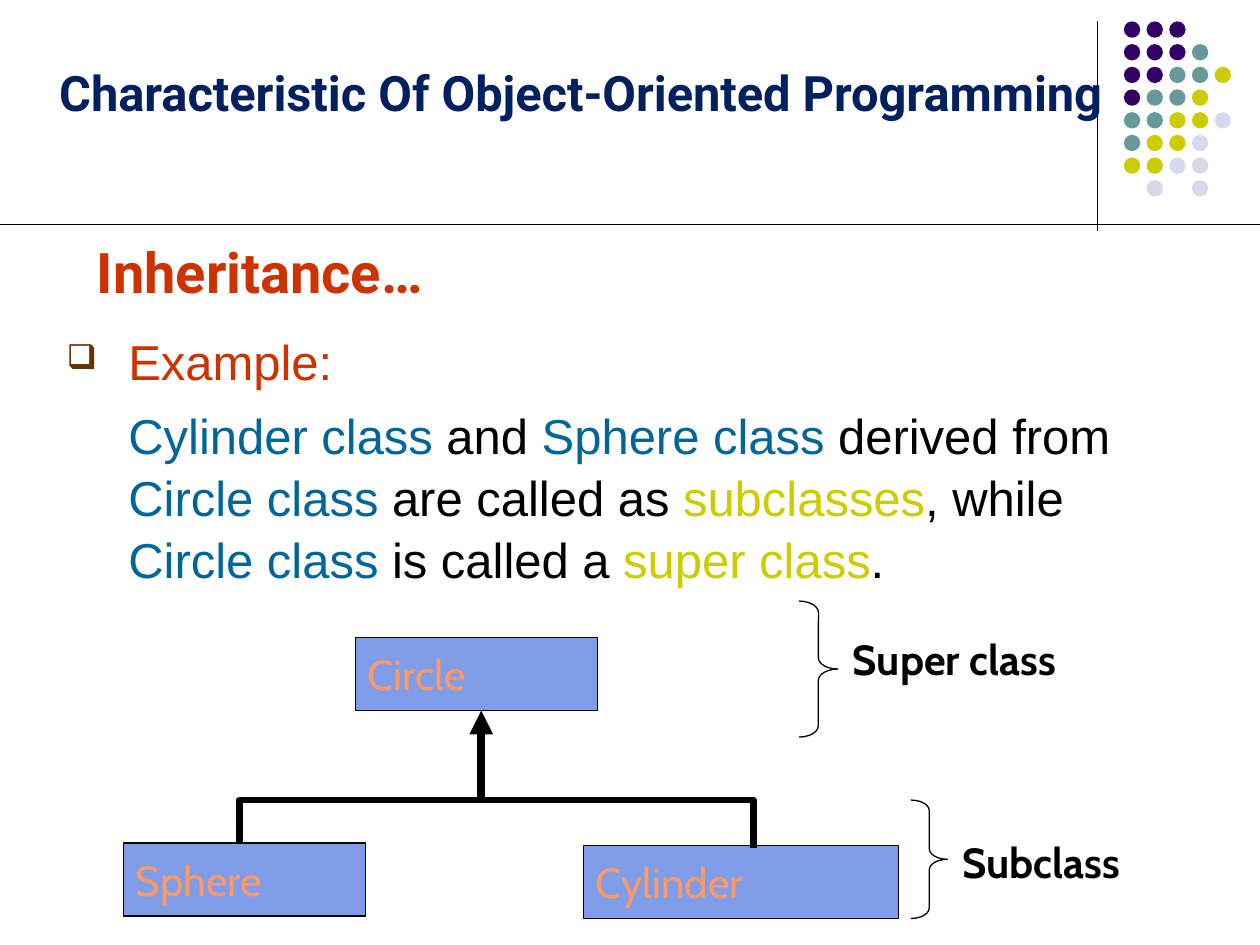
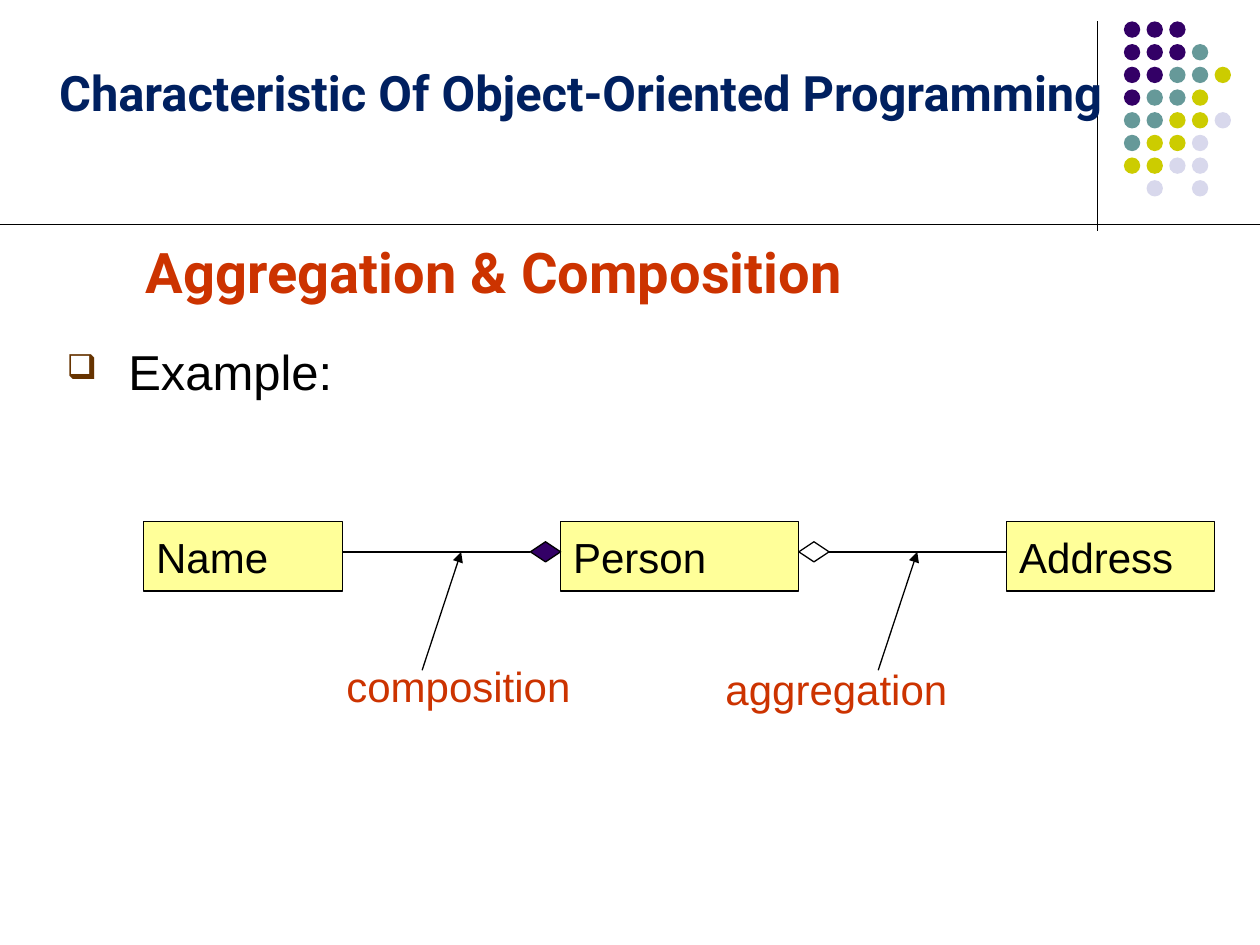
"""Build two slides on inheritance, aggregation and composition."""
import pptx
import pptx.util
import pptx.dml.color
import pptx.enum.shapes
import pptx.enum.text
import pptx.oxml
import pptx.oxml.ns

Inches = pptx.util.Inches
Pt = pptx.util.Pt
RGBColor = pptx.dml.color.RGBColor
MSO_SHAPE = pptx.enum.shapes.MSO_SHAPE
MSO_ANCHOR = pptx.enum.text.MSO_ANCHOR
PP_ALIGN = pptx.enum.text.PP_ALIGN

BLACK = RGBColor(0x00, 0x00, 0x00)
WHITE = RGBColor(0xFF, 0xFF, 0xFF)
NAVY = RGBColor(0x00, 0x20, 0x60)
RED = RGBColor(0xCC, 0x33, 0x00)
BLUE = RGBColor(0x00, 0x66, 0x99)
OLIVE = RGBColor(0xCC, 0xCC, 0x00)
PURPLE = RGBColor(0x33, 0x00, 0x66)
TEAL = RGBColor(0x66, 0x99, 0x99)
LAVENDER = RGBColor(0xD8, 0xD8, 0xEC)
PERIWINKLE = RGBColor(0x7E, 0x9C, 0xE8)
ORANGE = RGBColor(0xFF, 0x99, 0x66)
YELLOW = RGBColor(0xFF, 0xFF, 0x99)

HEADER = "Characteristic Of Object-Oriented Programming"
DOT_ROWS = ["PPP", "PPPT", "PPTTO", "PTTO", "TTOOL", "TOOL", "OOLL", " L L"]
DOT_COLORS = {"P": PURPLE, "T": TEAL, "O": OLIVE, "L": LAVENDER}
DOT_LEFT, DOT_TOP, DOT_PITCH, DOT_SIZE = 8.92, 0.17, 0.18, 0.13

INHERITANCE_TEXT = [
    ("Cylinder class", BLUE), (" and ", BLACK), ("Sphere class", BLUE),
    (" derived from ", BLACK), ("Circle class", BLUE),
    (" are called as ", BLACK), ("subclasses", OLIVE), (", while ", BLACK),
    ("Circle class", BLUE), (" is called a ", BLACK),
    ("super class", OLIVE), (".", BLACK),
]
CIRCLE = ("Circle", (2.82, 5.06, 1.92, 0.58))
CYLINDER = ("Cylinder", (4.63, 6.71, 2.5, 0.58))
SPHERE = ("Sphere", (0.98, 6.69, 1.92, 0.58))
SUBCLASS_BRACKET = [(1.9, 6.85), (1.9, 6.35), (5.98, 6.35), (5.98, 6.73)]
LEVELS = [
    ("Super class", (6.67, 4.98, 2.05, 0.5), (6.34, 4.77, 0.31, 1.08)),
    ("Subclass", (7.54, 6.59, 1.62, 0.5), (7.23, 6.35, 0.29, 0.94)),
]

CLASSES = [("Name", 1.14, 1.58), ("Person", 4.45, 1.89), ("Address", 7.99, 1.65)]
CLASS_TOP, CLASS_HEIGHT = 4.14, 0.55
LINK_Y, DIAMOND_W, DIAMOND_H = 4.38, 0.24, 0.16
LINKS = [
    ("composition", (2.65, 5.19, 1.98, 0.5), 3.35, (2.72, 4.21), 4.21, PURPLE),
    ("aggregation", (5.66, 5.22, 1.96, 0.5), 6.97, (6.58, 7.99), 6.34, WHITE),
]
POINTER_RUN, POINTER_Y = 0.31, 5.32


def inches(values):
    return [Inches(v) for v in values]


def write(tf, text, *, size, font="Arial", color=BLACK, bold=False, align=PP_ALIGN.LEFT,
          anchor=MSO_ANCHOR.TOP, wrap=True, spacing=None, before=0, indent=None,
          bullet=False, new=False):
    """Add one paragraph; text is a string or a list of (text, colour) runs."""
    tf.word_wrap = wrap
    tf.vertical_anchor = anchor
    p = tf.add_paragraph() if new else tf.paragraphs[0]
    p.alignment = align
    p.space_before = Pt(before)
    if spacing:
        p.line_spacing = spacing
    pPr = p._p.get_or_add_pPr()
    if indent:
        pPr.set("marL", str(Inches(indent)))
        pPr.set("indent", str(-Inches(indent) if bullet else 0))
    if bullet:
        ns = pptx.oxml.ns.nsdecls("a")
        for xml in (f'<a:buClr {ns}><a:srgbClr val="663300"/></a:buClr>',
                    f'<a:buSzPct {ns} val="70000"/>',
                    f'<a:buChar {ns} char="❑"/>'):
            pPr.append(pptx.oxml.parse_xml(xml))
    for part, part_color in [(text, color)] if isinstance(text, str) else text:
        r = p.add_run()
        r.text = part
        r.font.size = Pt(size)
        r.font.name = font
        r.font.bold = bold
        r.font.color.rgb = part_color


def add_text(s, at, text, **fmt):
    tf = s.shapes.add_textbox(*inches(at)).text_frame
    write(tf, text, **fmt)
    return tf


def add_label(s, at, text, **fmt):
    tf = add_text(s, at, text, size=24, wrap=False, **fmt)
    tf.auto_size = pptx.enum.text.MSO_AUTO_SIZE.SHAPE_TO_FIT_TEXT


def paint(sp, fill=None, line=None, width=0.75):
    sp.shadow.inherit = False
    if fill is None:
        sp.fill.background()
    else:
        sp.fill.solid()
        sp.fill.fore_color.rgb = fill
    if line is None:
        sp.line.fill.background()
    else:
        sp.line.color.rgb = line
        sp.line.width = Pt(width)


def add_shape(s, kind, at, **look):
    sp = s.shapes.add_shape(kind, *inches(at))
    paint(sp, **look)
    return sp


def add_class(s, at, name, fill, **fmt):
    sp = add_shape(s, MSO_SHAPE.RECTANGLE, at, fill=fill, line=BLACK)
    write(sp.text_frame, name, size=24, anchor=MSO_ANCHOR.MIDDLE, **fmt)


def add_line(s, start, end, width=0.75, arrow=False):
    cx = s.shapes.add_connector(pptx.enum.shapes.MSO_CONNECTOR.STRAIGHT,
                                *inches(start + end))
    cx.line.color.rgb = BLACK
    cx.line.width = Pt(width)
    ns = pptx.oxml.ns.nsdecls("a")
    if arrow:
        cx.line._get_or_add_ln().append(
            pptx.oxml.parse_xml(f'<a:tailEnd {ns} type="triangle"/>'))
    cx._element.spPr.append(pptx.oxml.parse_xml(f"<a:effectLst {ns}/>"))


def add_base(prs, title, title_left):
    s = prs.slides.add_slide(prs.slide_layouts[6])
    add_line(s, (8.71, 0.17), (8.71, 1.83))
    for row, codes in enumerate(DOT_ROWS):
        for col, code in enumerate(codes):
            if code in DOT_COLORS:
                at = (DOT_LEFT + col * DOT_PITCH, DOT_TOP + row * DOT_PITCH,
                      DOT_SIZE, DOT_SIZE)
                add_shape(s, MSO_SHAPE.OVAL, at, fill=DOT_COLORS[code])
    add_line(s, (0, 1.78), (10, 1.78))
    heading = dict(font="Roboto", bold=True, anchor=MSO_ANCHOR.MIDDLE)
    add_text(s, (0.36, 0.23, 8.5, 1.08), HEADER, size=27.9, color=NAVY,
             align=PP_ALIGN.CENTER, spacing=0.8, **heading)
    add_text(s, (title_left, 1.74, 7.38, 0.83), title, size=32, color=RED, **heading)
    return s


def add_example(s, top, color):
    return add_text(s, (0.43, top, 8.98, 4.5), "Example:", size=28, color=color,
                    spacing=1.05, indent=0.49, bullet=True)


def build_inheritance(prs):
    s = add_base(prs, "Inheritance…", 0.67)
    tf = add_example(s, 2.56, RED)
    write(tf, INHERITANCE_TEXT, size=28, spacing=1.05, before=7, indent=0.49, new=True)

    def add_box(box):
        name, at = box
        add_class(s, at, name, PERIWINKLE, font="Cabin", color=ORANGE)

    add_box(CIRCLE)
    add_line(s, (3.82, 6.35), (3.82, 5.64), width=4.5, arrow=True)
    add_box(CYLINDER)
    first, *rest = [inches(point) for point in SUBCLASS_BRACKET]
    builder = s.shapes.build_freeform(*first)
    builder.add_line_segments(rest, close=False)
    paint(builder.convert_to_shape(), line=BLACK, width=3.75)
    add_box(SPHERE)
    for name, label_at, brace_at in LEVELS:
        add_label(s, label_at, name, font="Cabin", bold=True)
        brace = add_shape(s, MSO_SHAPE.RIGHT_BRACE, brace_at, line=BLACK)
        brace.adjustments[0] = 0.29


def build_aggregation(prs):
    s = add_base(prs, "Aggregation & Composition", 1.06)
    add_example(s, 2.64, BLACK)
    for name, left, width in CLASSES:
        add_class(s, (left, CLASS_TOP, width, CLASS_HEIGHT), name, YELLOW)
    for name, label_at, pointer_x, (start, end), diamond_left, fill in LINKS:
        add_line(s, (start, LINK_Y), (end, LINK_Y))
        at = (diamond_left, LINK_Y - DIAMOND_H / 2, DIAMOND_W, DIAMOND_H)
        add_shape(s, MSO_SHAPE.DIAMOND, at, fill=fill, line=BLACK)
        add_line(s, (pointer_x, POINTER_Y), (pointer_x + POINTER_RUN, LINK_Y), arrow=True)
        add_label(s, label_at, name, color=RED)


def main():
    prs = pptx.Presentation()
    prs.slide_width, prs.slide_height = Inches(10), Inches(7.5)
    build_inheritance(prs)
    build_aggregation(prs)
    prs.save("out.pptx")


if __name__ == "__main__":
    main()
